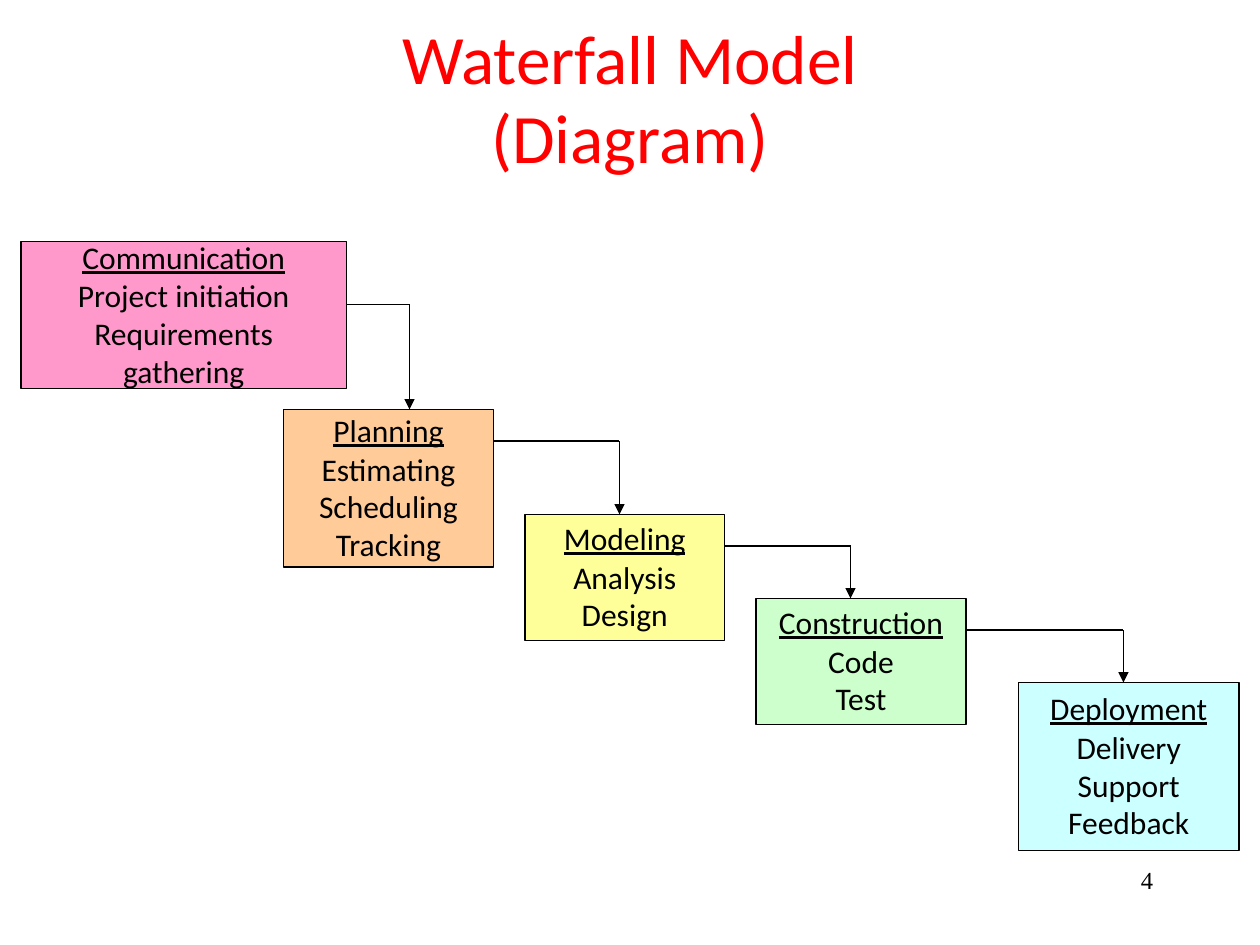
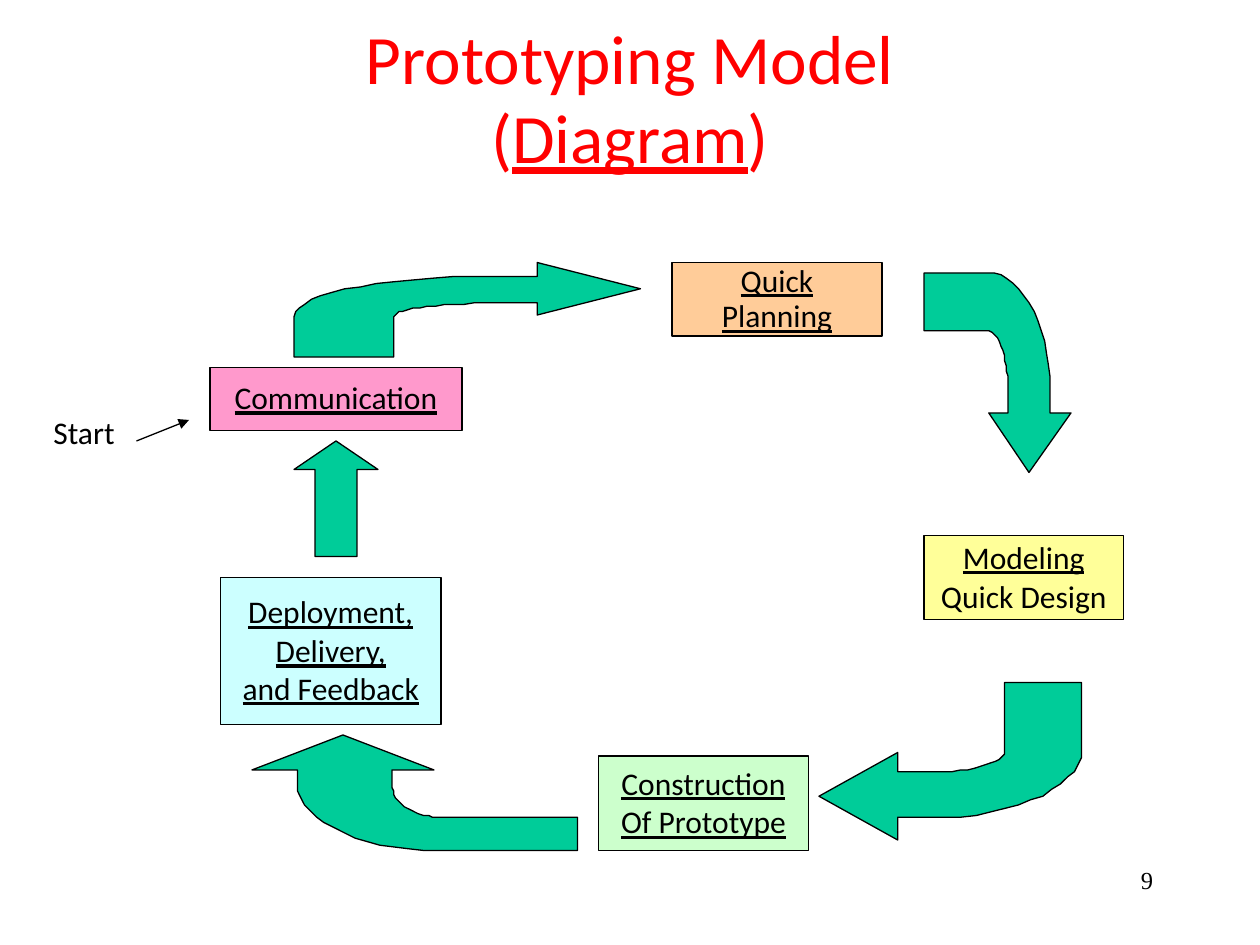
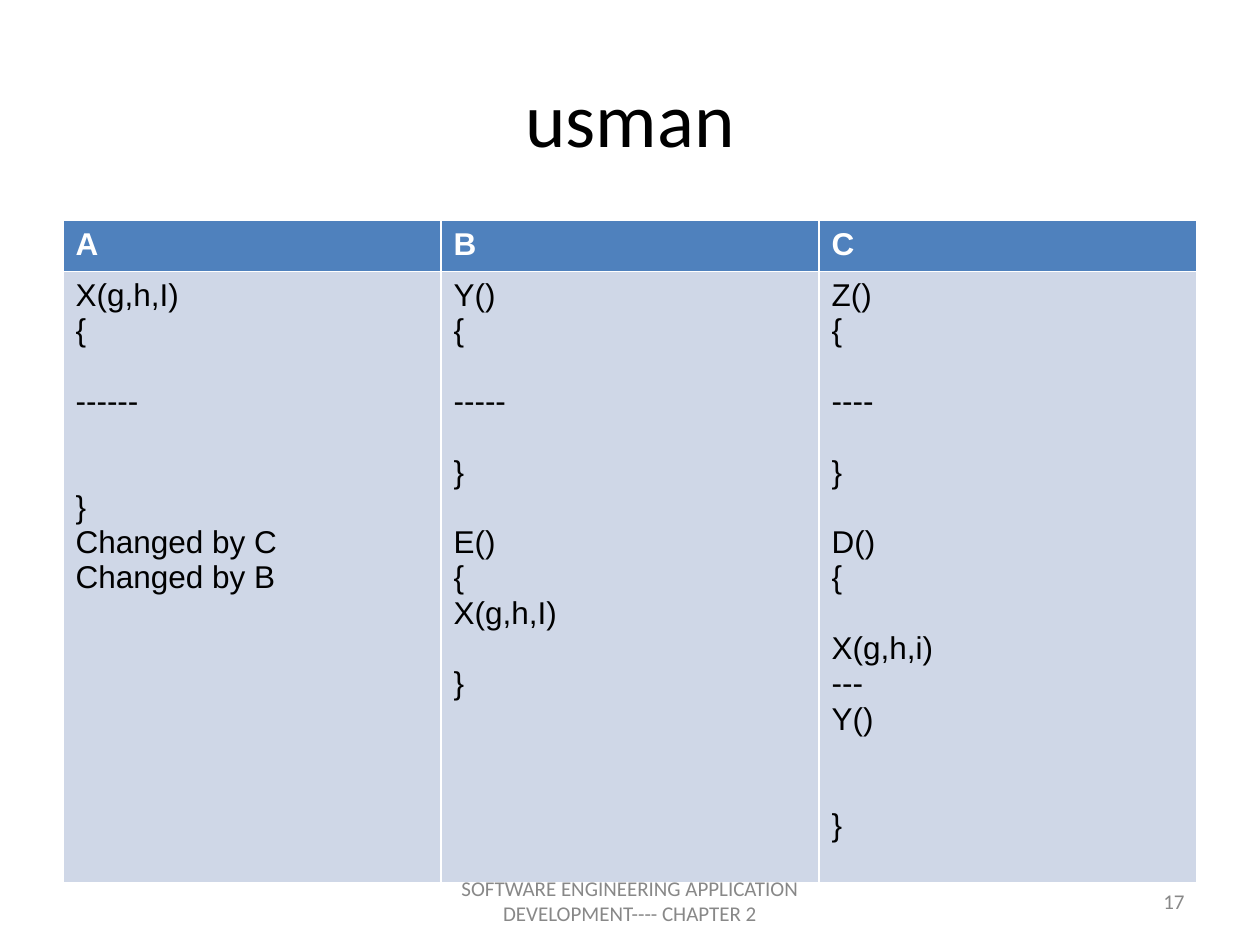
import math
from dataclasses import dataclass

from lxml import etree
from pptx import Presentation
from pptx import util as u
from pptx.dml.color import RGBColor
from pptx.enum import shapes, text
from pptx.oxml import ns
from pptx.slide import Slide
from pptx.text.text import TextFrame

BLACK = RGBColor(0x00, 0x00, 0x00)
WHITE = RGBColor(0xFF, 0xFF, 0xFF)
RED = RGBColor(0xFF, 0x00, 0x00)
GREY = RGBColor(0x88, 0x88, 0x88)
PINK = RGBColor(0xFF, 0x99, 0xCC)
ORANGE = RGBColor(0xFF, 0xCC, 0x99)
YELLOW = RGBColor(0xFF, 0xFF, 0x99)
MINT = RGBColor(0xCC, 0xFF, 0xCC)
CYAN = RGBColor(0xCC, 0xFF, 0xFF)
GREEN = RGBColor(0x00, 0xCC, 0x99)
HEADER_BLUE = RGBColor(0x4F, 0x81, 0xBD)
CELL_BLUE = RGBColor(0xCF, 0xD7, 0xE7)

LEFT, CENTER, RIGHT = text.PP_ALIGN.LEFT, text.PP_ALIGN.CENTER, text.PP_ALIGN.RIGHT
TIGHT = 0.95
CODE_LINE = 20.2
RIGHTWARD, DOWNWARD, LEFTWARD, UPWARD = range(4)


@dataclass(frozen=True)
class Area:
    left: float
    top: float
    width: float
    height: float

    @property
    def right(self) -> float:
        return self.left + self.width

    def lengths(self) -> tuple:
        return tuple(u.Pt(v) for v in (self.left, self.top, self.width, self.height))


@dataclass(frozen=True)
class Style:
    size: float
    name: str = "Calibri"
    color: RGBColor = BLACK
    align: text.PP_ALIGN = CENTER
    bold: bool = False


@dataclass(frozen=True)
class Stage:
    area: Area
    fill: RGBColor
    lines: tuple[str, ...]
    underlined: int = 1


@dataclass(frozen=True)
class Link:
    drop: float
    turn: float


@dataclass(frozen=True)
class BentArrow:
    area: Area
    heading: int


TITLE = Style(39.6, color=RED)
PLAIN_TITLE = Style(44)
LABEL = Style(18)
NUMBER = Style(14, "Times New Roman", align=RIGHT)
FOOTER = Style(12, color=GREY)
FOOTER_NUMBER = Style(12, color=GREY, align=RIGHT)
HEADING = Style(18, "Arial", WHITE, LEFT, bold=True)
CODE = Style(18, "Arial", align=LEFT)

TITLE_AREA = Area(54, 3.6, 612, 107.3)
NUMBER_AREA = Area(516, 492, 150, 36)

WATERFALL = (
    Stage(Area(12, 138, 186, 84), PINK,
          ("Communication", "Project initiation", "Requirements gathering")),
    Stage(Area(162, 234, 120, 90), ORANGE,
          ("Planning", "Estimating", "Scheduling", "Tracking")),
    Stage(Area(300, 294, 114, 72), YELLOW, ("Modeling", "Analysis", "Design")),
    Stage(Area(432, 342, 120, 72), MINT, ("Construction", "Code", "Test")),
    Stage(Area(582, 390, 126, 96), CYAN,
          ("Deployment", "Delivery", "Support", "Feedback")),
)
WATERFALL_LINKS = (Link(36, 234), Link(18, 354), Link(18, 486), Link(18, 642))

PROTOTYPING = (
    Stage(Area(120, 210, 144, 36), PINK, ("Communication",)),
    Stage(Area(384, 150, 120, 42), ORANGE, ("Quick Planning",)),
    Stage(Area(528, 306, 114, 48), YELLOW, ("Modeling", "Quick Design")),
    Stage(Area(342, 432, 120, 54), MINT, ("Construction", "Of Prototype"), 2),
    Stage(Area(126, 330, 126, 84), CYAN,
          ("Deployment,", "Delivery,", "and Feedback"), 3),
)
CYCLE_ARROWS = (
    BentArrow(Area(168, 150, 198, 54), RIGHTWARD),
    BentArrow(Area(528, 156, 84, 114), DOWNWARD),
    BentArrow(Area(468, 390, 150, 90), LEFTWARD),
    BentArrow(Area(144, 420, 186, 66), UPWARD),
)

MODULES = {
    "A": ("X(g,h,I)", "{", "", "------", "", "", "}", "Changed by C", "Changed by B"),
    "B": ("Y()", "{", "", "-----", "", "}", "", "E()", "{", "X(g,h,I)", "", "}"),
    "C": ("Z()", "{", "", "----", "", "}", "", "D()", "{", "", "X(g,h,i)", "---",
          "Y()", "", "", "}"),
}


def format_para(para, style: Style, spacing: float = 1.0) -> None:
    para.alignment = style.align
    para.line_spacing = spacing
    para.font.size = u.Pt(style.size)
    para.font.name = style.name
    para.font.bold = style.bold
    para.font.color.rgb = style.color


def write(frame: TextFrame, lines: tuple[str, ...], style: Style,
          first_spacing: float = 1.0, underlined: int = 0) -> None:
    gap = count = 0
    for line in lines:
        if not line:
            gap += 1
            continue
        para = frame.add_paragraph() if count else frame.paragraphs[0]
        format_para(para, style, 1.0 if count else first_spacing)
        if gap:
            para.space_before = u.Pt(gap * CODE_LINE)
        if count < underlined:
            para.font.underline = True
        para.add_run().text = line
        count, gap = count + 1, 0


def place_title(page: Slide, area: Area):
    title = page.shapes.title
    title.left, title.top, title.width, title.height = area.lengths()
    title.text_frame.vertical_anchor = text.MSO_ANCHOR.MIDDLE
    return title.text_frame.paragraphs[0]


def add_diagram_title(page: Slide, model: str, underline: bool) -> None:
    para = place_title(page, TITLE_AREA)
    format_para(para, TITLE, TIGHT)
    para.add_run().text = model
    para.add_line_break()
    if not underline:
        para.add_run().text = "(Diagram)"
        return
    for part in ("(", "Diagram", ")"):
        span = para.add_run()
        span.text = part
        span.font.underline = part == "Diagram"


def add_text(page: Slide, area: Area, line: str, style: Style,
             spacing: float = 1.0, anchor=text.MSO_ANCHOR.TOP) -> None:
    frame = page.shapes.add_textbox(*area.lengths()).text_frame
    frame.word_wrap = True
    frame.vertical_anchor = anchor
    write(frame, (line,), style, spacing)


def paint(shape, fill: RGBColor) -> None:
    shape.shadow.inherit = False
    shape.fill.solid()
    shape.fill.fore_color.rgb = fill
    shape.line.color.rgb = BLACK
    shape.line.width = u.Pt(0.75)


def add_stage(page: Slide, stage: Stage) -> None:
    box = page.shapes.add_shape(shapes.MSO_SHAPE.RECTANGLE, *stage.area.lengths())
    paint(box, stage.fill)
    box.text_frame.word_wrap = True
    box.text_frame.vertical_anchor = text.MSO_ANCHOR.MIDDLE
    write(box.text_frame, stage.lines, LABEL, TIGHT, stage.underlined)


def add_line(page: Slide, start: tuple[float, float], end: tuple[float, float],
             arrow: bool = False) -> None:
    line = page.shapes.add_connector(
        shapes.MSO_CONNECTOR.STRAIGHT, *(u.Pt(v) for v in start + end))
    line.line.color.rgb = BLACK
    line.line.width = u.Pt(0.75)
    if arrow:
        etree.SubElement(line.line._get_or_add_ln(), ns.qn("a:tailEnd"), type="triangle")
    etree.SubElement(line._element.spPr, ns.qn("a:effectLst"))


def quarter_arc(radius_x: float, radius_y: float) -> list[tuple[float, float]]:
    angles = [math.radians(6 * step) for step in range(16)]
    return [(0.58 - radius_x * math.cos(a), 0.57 - radius_y * math.sin(a))
            for a in angles]


def bent_outline(heading: int) -> list[tuple[float, float]]:
    outline = [(0, 1), *quarter_arc(0.58, 0.43),
               (0.7, 0.14), (0.7, 0), (1, 0.28), (0.7, 0.56), (0.7, 0.43),
               *reversed(quarter_arc(0.29, 0.14)), (0.29, 1)]
    for _ in range(heading):
        outline = [(1 - y, x) for x, y in outline]
    return outline


def add_bent_arrow(page: Slide, arrow: BentArrow) -> None:
    area = arrow.area
    points = [(area.left + x * area.width, area.top + y * area.height)
              for x, y in bent_outline(arrow.heading)]
    builder = page.shapes.build_freeform(*points[0], scale=u.Pt(1))
    builder.add_line_segments(points[1:], close=True)
    paint(builder.convert_to_shape(), GREEN)


def build_waterfall(page: Slide) -> None:
    add_text(page, NUMBER_AREA, "4", NUMBER, TIGHT)
    add_diagram_title(page, "Waterfall Model", underline=False)
    for stage in WATERFALL:
        add_stage(page, stage)
    for stage, following, link in zip(WATERFALL, WATERFALL[1:], WATERFALL_LINKS):
        level = stage.area.top + link.drop
        add_line(page, (stage.area.right, level), (link.turn, level))
        add_line(page, (link.turn, level), (link.turn, following.area.top), arrow=True)


def build_prototyping(page: Slide) -> None:
    add_text(page, NUMBER_AREA, "9", NUMBER, TIGHT)
    add_diagram_title(page, "Prototyping Model", underline=True)
    for stage in PROTOTYPING:
        add_stage(page, stage)
    for arrow in CYCLE_ARROWS:
        add_bent_arrow(page, arrow)
    up_arrow = page.shapes.add_shape(
        shapes.MSO_SHAPE.UP_ARROW, *Area(168, 252, 48, 66).lengths())
    up_arrow.adjustments[0] = 0.5
    up_arrow.adjustments[1] = 0.34
    paint(up_arrow, GREEN)
    add_text(page, Area(18, 234, 60, 36), "Start", LABEL, TIGHT)
    add_line(page, (78, 252), (108, 240), arrow=True)


def fill_cell(cell, lines: tuple[str, ...], style: Style, fill: RGBColor) -> None:
    cell.fill.solid()
    cell.fill.fore_color.rgb = fill
    write(cell.text_frame, lines, style)


def build_modules(page: Slide) -> None:
    para = place_title(page, Area(36, 21.6, 648, 90))
    format_para(para, PLAIN_TITLE)
    para.add_run().text = "usman"
    table = page.shapes.add_table(
        2, len(MODULES), *Area(36, 126, 648, 378.2).lengths()).table
    table.rows[0].height = u.Pt(29.2)
    table.rows[1].height = u.Pt(349)
    for column, (name, code) in enumerate(MODULES.items()):
        fill_cell(table.cell(0, column), (name,), HEADING, HEADER_BLUE)
        fill_cell(table.cell(1, column), code, CODE, CELL_BLUE)
    middle = text.MSO_ANCHOR.MIDDLE
    add_text(page, Area(246, 500.5, 228, 28.75),
             "SOFTWARE ENGINEERING APPLICATION DEVELOPMENT---- CHAPTER 2",
             FOOTER, anchor=middle)
    add_text(page, Area(516, 500.5, 168, 28.75), "17", FOOTER_NUMBER, anchor=middle)


def main() -> None:
    deck = Presentation()
    deck.slide_width, deck.slide_height = u.Pt(720), u.Pt(540)
    title_only = deck.slide_layouts[5]
    for build in (build_waterfall, build_prototyping, build_modules):
        build(deck.slides.add_slide(title_only))
    deck.save("out.pptx")


if __name__ == "__main__":
    main()
